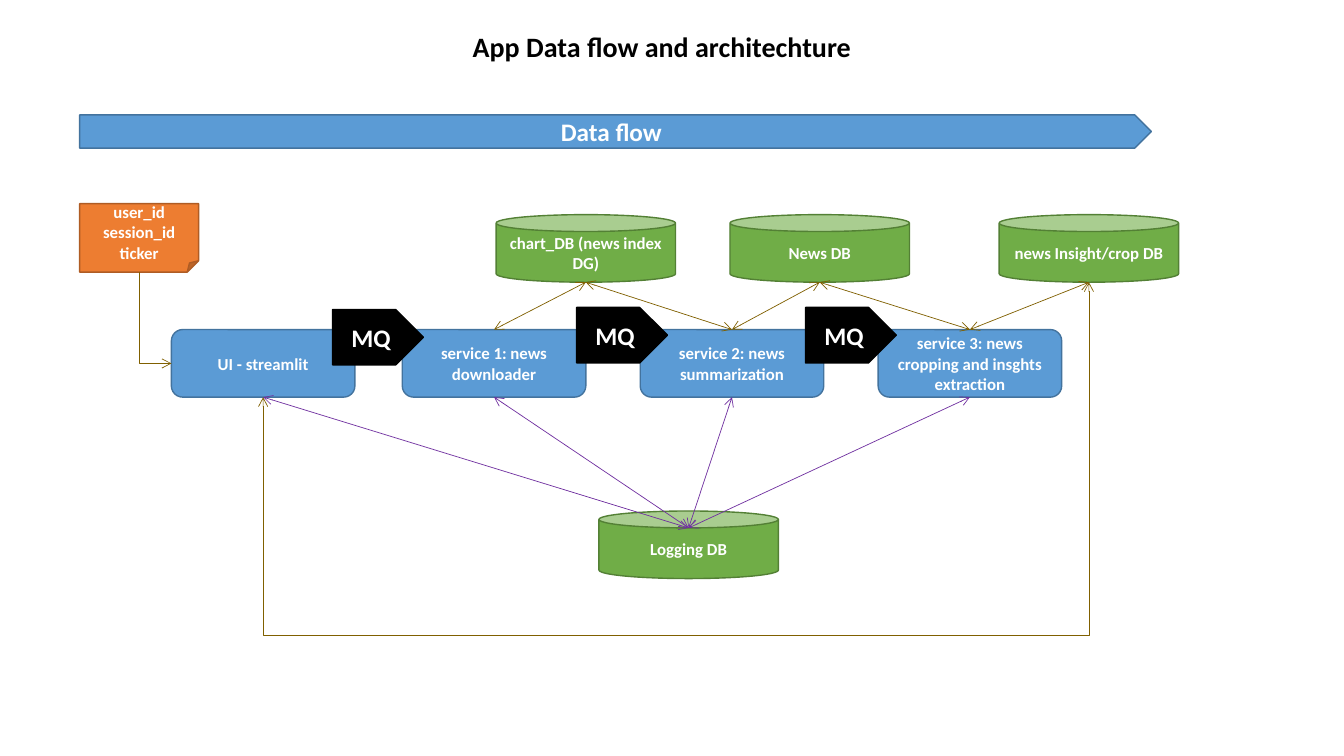
import collections
import dataclasses

import lxml.etree
import pptx
import pptx.dml.color
import pptx.enum.shapes
import pptx.enum.text
import pptx.oxml.ns
import pptx.util

PIXEL = 9144
Box = collections.namedtuple("Box", "left top width height")
Shapes = pptx.enum.shapes.MSO_SHAPE
Connectors = pptx.enum.shapes.MSO_CONNECTOR


@dataclasses.dataclass(frozen=True)
class Theme:
    font: str = "Calibri"
    title_size: int = 20
    banner_size: int = 18
    label_size: int = 12
    outline: float = 1
    arrow: float = 0.5
    dark: str = "000000"
    light: str = "FFFFFF"
    service: tuple = ("5B9BD5", "43739E")
    database: tuple = ("70AD47", "538035")
    note: tuple = ("ED7D31", "AF5C24")
    queue: tuple = ("000000", "000000")
    data_arrow: str = "806000"
    log_arrow: str = "7030A0"


THEME = Theme()


def px(value):
    return pptx.util.Emu(round(value * PIXEL))


def color(code):
    return pptx.dml.color.RGBColor.from_string(code)


def place(shape, box):
    shape.left, shape.top, shape.width, shape.height = map(px, box)


def write(shape, text, size=THEME.label_size, ink=THEME.light):
    frame = shape.text_frame
    frame.word_wrap = True
    frame.auto_size = pptx.enum.text.MSO_AUTO_SIZE.NONE
    frame.vertical_anchor = pptx.enum.text.MSO_ANCHOR.MIDDLE
    paragraph = frame.paragraphs[0]
    paragraph.text = text
    paragraph.alignment = pptx.enum.text.PP_ALIGN.CENTER
    for run in paragraph.runs:
        run.font.name = THEME.font
        run.font.size = pptx.util.Pt(size)
        run.font.bold = True
        run.font.color.rgb = color(ink)


def add_block(slide, kind, box, text, colors, size=THEME.label_size):
    shape = slide.shapes.add_shape(kind, *map(px, box))
    shape.shadow.inherit = False
    shape.fill.solid()
    shape.fill.fore_color.rgb = color(colors[0])
    shape.line.color.rgb = color(colors[1])
    shape.line.width = pptx.util.Pt(THEME.outline)
    write(shape, text, size=size)
    return shape


def anchor(shape, side):
    center = shape.left + shape.width // 2
    is_can = shape.auto_shape_type == Shapes.CAN
    if side == "left":
        return 1, shape.left, shape.top + shape.height // 2
    if side == "bottom":
        return 3 if is_can else 2, center, shape.top + shape.height
    return 0, center, shape.top + (shape.height // 4 if is_can else 0)


def style_arrow(connector, ink, ends):
    connector.line.color.rgb = color(ink)
    connector.line.width = pptx.util.Pt(THEME.arrow)
    qualified = pptx.oxml.ns.qn
    properties = connector.line._get_or_add_ln()
    for end in ends:
        lxml.etree.SubElement(properties, qualified(f"a:{end}"), type="arrow")
    lxml.etree.SubElement(connector._element.spPr, qualified("a:effectLst"))


def join(slide, source, target, ink, elbow=None, ends=("headEnd", "tailEnd"), bend=None):
    begin_site, begin_x, begin_y = anchor(*source)
    end_site, end_x, end_y = anchor(*target)
    if elbow:
        middle_x, middle_y = (begin_x + end_x) // 2, (begin_y + end_y) // 2
        half_x, half_y = (end_x - begin_x) // 2, (end_y - begin_y) // 2
        begin_x, end_x = middle_x - half_y, middle_x + half_y
        begin_y, end_y = middle_y + half_x, middle_y - half_x
    kind = Connectors.ELBOW if elbow else Connectors.STRAIGHT
    connector = slide.shapes.add_connector(kind, begin_x, begin_y, end_x, end_y)
    connector.begin_connect(source[0], begin_site)
    connector.end_connect(target[0], end_site)
    connector.begin_x, connector.begin_y = begin_x, begin_y
    connector.end_x, connector.end_y = end_x, end_y
    if elbow:
        properties = connector._element.spPr
        properties.find(pptx.oxml.ns.qn("a:xfrm")).set("rot", "5400000")
        geometry = properties.find(pptx.oxml.ns.qn("a:prstGeom"))
        geometry.set("prst", elbow)
        if bend:
            guides = geometry.find(pptx.oxml.ns.qn("a:avLst"))
            lxml.etree.SubElement(guides, pptx.oxml.ns.qn("a:gd"), name="adj1", fmla=f"val {bend}")
    style_arrow(connector, ink, ends)


def add_title(slide, box):
    place(slide.shapes.title, box)
    write(slide.shapes.title, "App Data flow and architechture", size=THEME.title_size, ink=THEME.dark)


def add_banner(slide, box):
    add_block(slide, Shapes.PENTAGON, box, "Data flow", THEME.service, size=THEME.banner_size)


def add_row(slide, box, kind, colors, width, items, size=THEME.label_size):
    return [
        add_block(slide, kind, Box(box.left + offset, box.top, width, box.height), text, colors, size)
        for offset, text in items
    ]


def add_services(slide, box):
    items = (
        (0, "UI - streamlit"),
        (229, "service 1: news downloader"),
        (465, "service 2: news summarization"),
        (701, "service 3: news cropping and insghts extraction"),
    )
    return add_row(slide, box, Shapes.ROUNDED_RECTANGLE, THEME.service, 182, items)


def add_databases(slide, box):
    items = ((0, "chart_DB (news index DG)"), (232, "News DB"), (499, "news Insight/crop DB"))
    return add_row(slide, box, Shapes.CAN, THEME.database, 178, items)


def add_queues(slide, box):
    for left, drop in ((0, 2), (242, 0), (469, 0)):
        queue = Box(box.left + left, box.top + drop, 90, box.height)
        add_block(slide, Shapes.PENTAGON, queue, "MQ", THEME.queue, size=THEME.banner_size)


def add_arrows(slide, note, services, databases, logging):
    screen, downloader, summarizer, cropper = services
    charts, news, insights = databases
    join(slide, (note, "bottom"), (screen, "left"), THEME.data_arrow,
         elbow="bentConnector2", ends=("tailEnd",))
    for database, service in (
        (charts, summarizer), (charts, downloader), (news, summarizer),
        (news, cropper), (insights, cropper),
    ):
        join(slide, (database, "bottom"), (service, "top"), THEME.data_arrow)
    join(slide, (insights, "bottom"), (screen, "bottom"), THEME.data_arrow,
         elbow="bentConnector3", bend=307500)
    for service in services:
        join(slide, (logging, "top"), (service, "bottom"), THEME.log_arrow)


def main():
    presentation = pptx.Presentation()
    presentation.slide_width, presentation.slide_height = px(1333), px(750)
    slide = presentation.slides.add_slide(presentation.slide_layouts[5])
    add_title(slide, Box(15, 12, 1283, 67))
    services = add_services(slide, Box(170, 327, 883, 67))
    note = add_block(slide, Shapes.FOLDED_CORNER, Box(79, 202, 118, 68),
                     "user_id\nsession_id\nticker", THEME.note)
    databases = add_databases(slide, Box(492, 213, 677, 67))
    logging = add_block(slide, Shapes.CAN, Box(594, 507, 178, 67), "Logging DB", THEME.database)
    add_arrows(slide, note, services, databases, logging)
    add_banner(slide, Box(79, 114, 1063, 33))
    add_queues(slide, Box(330, 305, 559, 55))
    presentation.save("out.pptx")


if __name__ == "__main__":
    main()
